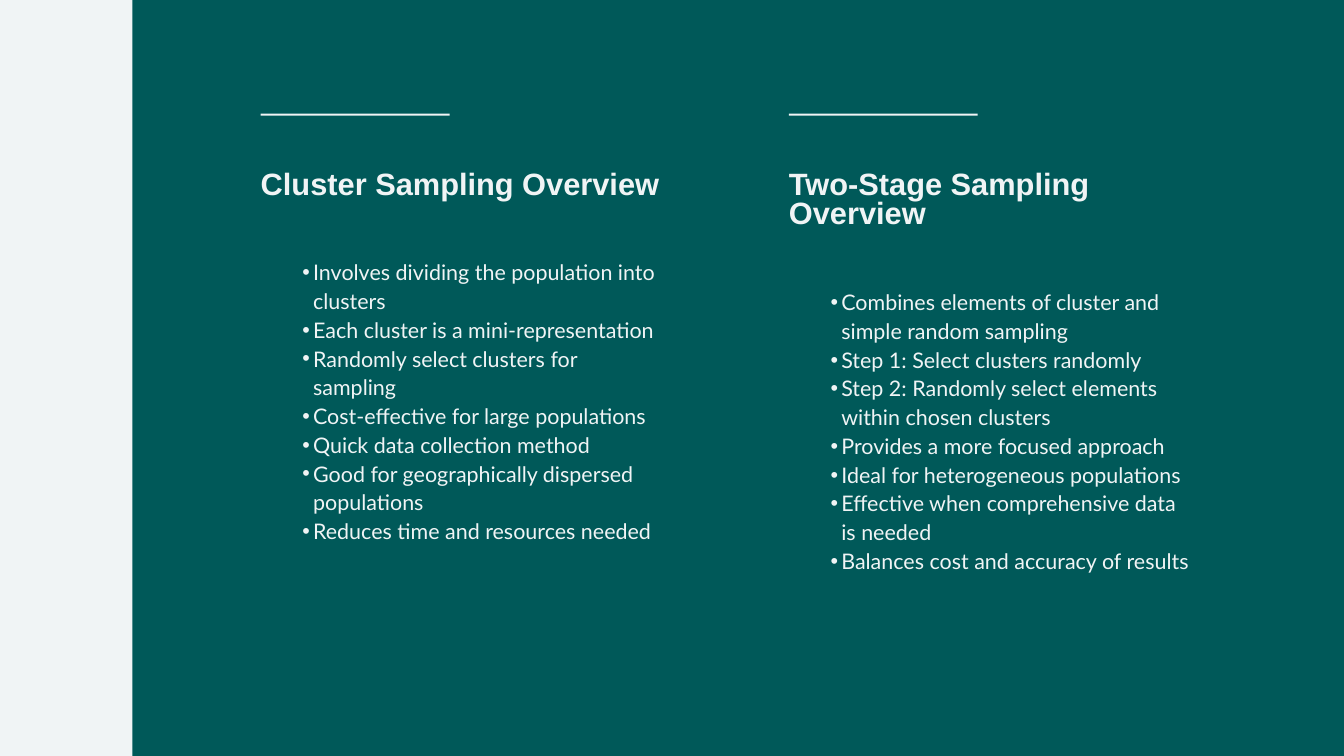
import dataclasses

import lxml.etree
import pptx
import pptx.dml.color
import pptx.enum.shapes
import pptx.enum.text
import pptx.oxml.ns
import pptx.util
from pptx.util import Inches


@dataclasses.dataclass(frozen=True)
class Theme:
    background: str = "005959"
    light: str = "F0F4F5"
    heading_font: str = "Arial"
    body_font: str = "Lato"
    heading_size: float = 33
    heading_spacing: float = 32
    body_size: float = 23
    body_spacing: float = 30.8


THEME = Theme()

CLUSTER_POINTS = [
    "Involves dividing the population into clusters",
    "Each cluster is a mini-representation",
    "Randomly select clusters for sampling",
    "Cost-effective for large populations",
    "Quick data collection method",
    "Good for geographically dispersed populations",
    "Reduces time and resources needed",
]
TWO_STAGE_POINTS = [
    "Combines elements of cluster and simple random sampling",
    "Step 1: Select clusters randomly",
    "Step 2: Randomly select elements within chosen clusters",
    "Provides a more focused approach",
    "Ideal for heterogeneous populations",
    "Effective when comprehensive data is needed",
    "Balances cost and accuracy of results",
]


def color(value):
    return pptx.dml.color.RGBColor.from_string(value)


def add_bar(slide, left, top, width, height):
    """Add a plain light rectangle."""
    shape = slide.shapes.add_shape(
        pptx.enum.shapes.MSO_SHAPE.RECTANGLE, left, top, width, height)
    shape.shadow.inherit = False
    shape.fill.solid()
    shape.fill.fore_color.rgb = color(THEME.light)
    shape.line.fill.background()
    return shape


def add_bullet(paragraph, margin, hanging):
    """Give a paragraph a round bullet with a hanging indent."""
    properties = paragraph._p.get_or_add_pPr()
    properties.set("marL", str(margin))
    properties.set("indent", str(-hanging))
    for tag, name, value in (("a:buFont", "typeface", "Arial"),
                             ("a:buChar", "char", "•")):
        element = lxml.etree.SubElement(properties, pptx.oxml.ns.qn(tag))
        element.set(name, value)


def add_text(slide, lines, left, top, width, height, *,
             font, size, spacing, bold=False, bullets=False):
    """Add a text box with one paragraph per line."""
    shape = slide.shapes.add_textbox(left, top, width, height)
    frame = shape.text_frame
    frame.word_wrap = True
    frame.auto_size = pptx.enum.text.MSO_AUTO_SIZE.SHAPE_TO_FIT_TEXT
    frame.margin_left = frame.margin_right = 0
    frame.margin_top = frame.margin_bottom = 0
    for index, line in enumerate(lines):
        paragraph = frame.add_paragraph() if index else frame.paragraphs[0]
        paragraph.line_spacing = pptx.util.Pt(spacing)
        if bullets:
            add_bullet(paragraph, Inches(0.78), Inches(0.16))
        run = paragraph.add_run()
        run.text = line
        run.font.name = font
        run.font.size = pptx.util.Pt(size)
        run.font.bold = bold
        run.font.color.rgb = color(THEME.light)
    return shape


def add_column(slide, left, top, width, height, heading, heading_lines, points):
    """Place a rule, a heading and its bullet list in the given box."""
    # Short rule above the heading
    add_bar(slide, left, top, Inches(2.81), Inches(0.03))

    # Heading, whose line count pushes the list down
    line_height = pptx.util.Pt(THEME.heading_spacing)
    heading_top = top + Inches(0.86)
    heading_height = heading_lines * line_height
    add_text(slide, [heading], left, heading_top, width, heading_height,
             font=THEME.heading_font, size=THEME.heading_size,
             spacing=THEME.heading_spacing, bold=True)

    # Bullet list fills the rest of the box
    list_top = heading_top + heading_height + Inches(0.82)
    add_text(slide, points, left, list_top, width, top + height - list_top,
             font=THEME.body_font, size=THEME.body_size,
             spacing=THEME.body_spacing, bullets=True)


def main():
    presentation = pptx.Presentation()
    presentation.slide_width = Inches(20)
    presentation.slide_height = Inches(11.25)

    # Two equal headings and no overall title, so the blank layout
    slide = presentation.slides.add_slide(presentation.slide_layouts[6])
    slide.background.fill.solid()
    slide.background.fill.fore_color.rgb = color(THEME.background)

    # Left side band
    add_bar(slide, 0, 0, Inches(1.97), presentation.slide_height)

    # Two columns side by side
    columns = [
        ("Cluster Sampling Overview", 1, CLUSTER_POINTS, 6.91),
        ("Two-Stage Sampling Overview", 2, TWO_STAGE_POINTS, 7.39),
    ]
    for index, (heading, heading_lines, points, height) in enumerate(columns):
        add_column(slide, Inches(3.88 + index * 7.86), Inches(1.69),
                   Inches(5.96), Inches(height),
                   heading, heading_lines, points)

    presentation.save("out.pptx")


if __name__ == "__main__":
    main()
